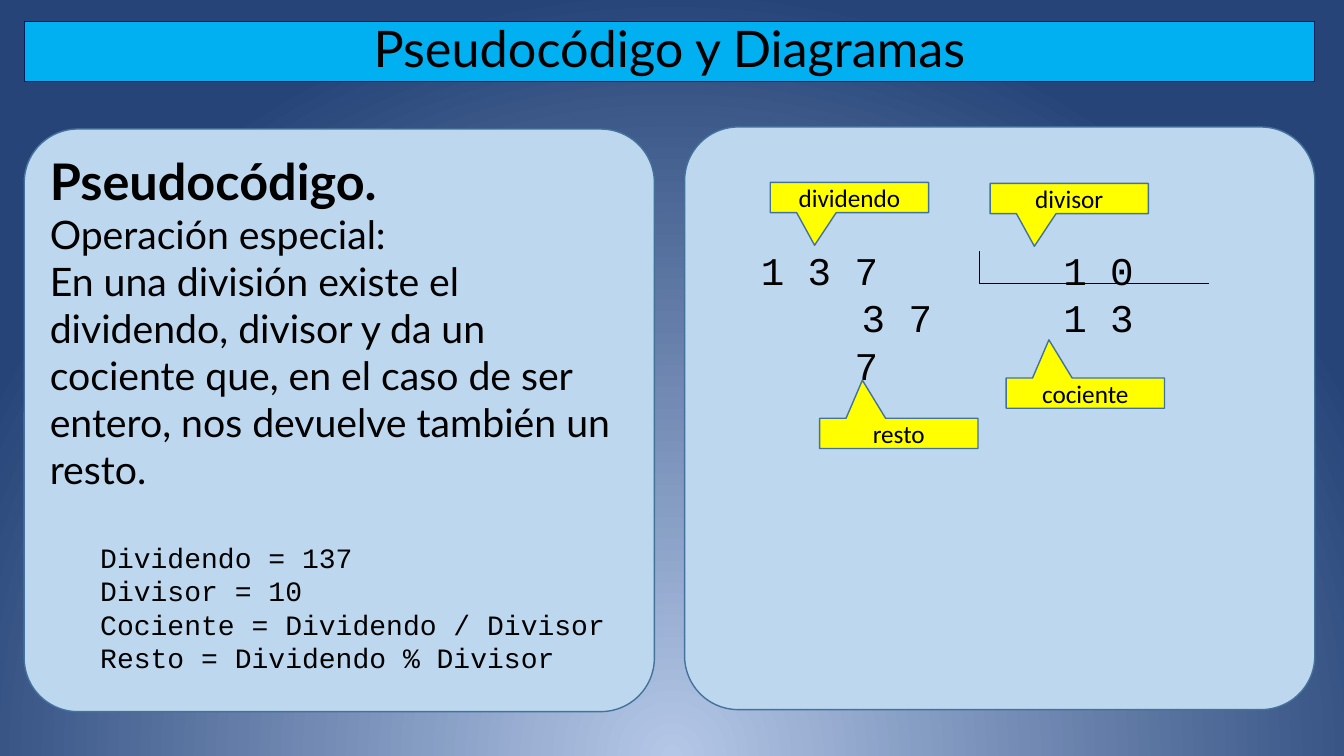
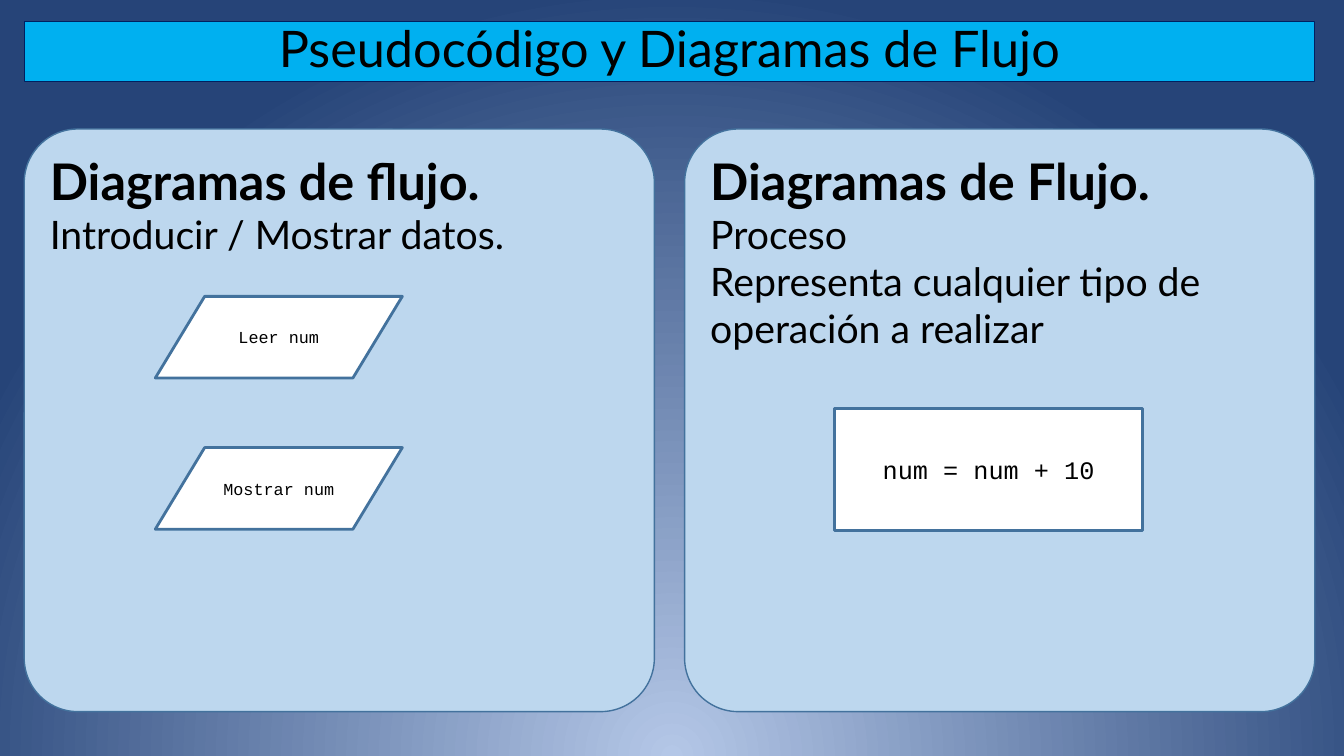
from pptx import Presentation
from pptx.dml.color import RGBColor
from pptx.enum.shapes import MSO_CONNECTOR as CONNECTOR, MSO_SHAPE as SHAPE
from pptx.enum.text import MSO_ANCHOR as ANCHOR, PP_ALIGN as ALIGN
from pptx.oxml import parse_xml
from pptx.oxml.ns import nsdecls, qn
from pptx.util import Inches, Pt

COLORS = {
    "glow": "B4C7E7", "night": "264478", "band": "00B0F0", "band_line": "002060",
    "panel": "BDD7EE", "outline": "43729D", "callout": "FFFF00",
    "white": "FFFFFF", "text": "000000",
}

# Each style holds font values, paragraph values and a left indent in inches.
STYLES = {
    "title": ({"name": "Lato", "size": Pt(36)},
              {"alignment": ALIGN.CENTER, "line_spacing": 0.9}, 0),
    "heading": ({"name": "Lato", "size": Pt(36), "bold": True}, {}, 0),
    "body": ({"name": "Lato", "size": Pt(28)}, {}, 0),
    "code": ({"name": "Courier New", "size": Pt(20)}, {"line_spacing": Pt(24)}, 0.5),
    "division": ({"name": "Courier New", "size": Pt(28)}, {"line_spacing": Pt(34)}, 0),
    "callout": ({"name": "Calibri", "size": Pt(18)}, {"alignment": ALIGN.CENTER}, 0),
    "io": ({"name": "Courier New", "size": Pt(12)}, {"alignment": ALIGN.CENTER}, 0),
    "process": ({"name": "Courier New", "size": Pt(18)}, {"alignment": ALIGN.CENTER}, 0),
}
CODE_GAP = Pt(34)

LEFT, WIDTH = 0.24, 12.8
PANEL_W, PANEL_H, PANEL_GAP, PANEL_TOP = 6.25, 5.78, 0.3, 1.28

OPERATION = [
    ("heading", "Pseudocódigo."),
    ("body", "Operación especial:"),
    ("body", "En una división existe el dividendo, divisor y da un cociente que, "
             "en el caso de ser entero, nos devuelve también un resto."),
    ("code", "Dividendo = 137"),
    ("code", "Divisor = 10"),
    ("code", "Cociente = Dividendo / Divisor"),
    ("code", "Resto = Dividendo % Divisor"),
]
DIVISION = [  # text, tab stops in inches
    ("1 3 7\t1 0", [3]),
    ("\t3 7\t1 3", [1, 3]),
    ("\t7", [0.93]),
]
POINT_DOWN, POINT_UP = (-0.22, 1.58), (-0.23, -1.76)
CALLOUTS = [
    ("dividendo", 7.64, 1.81, POINT_DOWN),
    ("divisor", 9.82, 1.82, POINT_DOWN),
    ("cociente", 9.98, 3.75, POINT_UP),
    ("resto", 8.13, 4.15, POINT_UP),
]
DATA_FLOW = [
    ("heading", "Diagramas de flujo."),
    ("body", "Introducir / Mostrar datos."),
]
PROCESS = [
    ("heading", "Diagramas de Flujo."),
    ("body", "Proceso"),
    ("body", "Representa cualquier tipo de operación a realizar"),
]
IO_STEPS = ["Leer num", "Mostrar num"]


def rgb(name):
    return RGBColor.from_string(COLORS[name])


def apply(target, values):
    for name, value in values.items():
        setattr(target, name, value)


def set_background(master):
    """Give every slide a circular gradient that glows from the bottom centre."""
    c_sld = master.element.find(qn("p:cSld"))
    for bg in c_sld.findall(qn("p:bg")):
        c_sld.remove(bg)
    stops = "".join(f'<a:gs pos="{pos}"><a:srgbClr val="{COLORS[name]}"/></a:gs>'
                    for pos, name in ((0, "glow"), (100000, "night")))
    c_sld.insert(0, parse_xml(
        f'<p:bg {nsdecls("p", "a")}><p:bgPr><a:gradFill rotWithShape="1">'
        f'<a:gsLst>{stops}</a:gsLst><a:path path="circle">'
        '<a:fillToRect l="50000" t="100000" r="50000" b="0"/></a:path>'
        '</a:gradFill><a:effectLst/></p:bgPr></p:bg>'))


def add_box(slide, kind, box, fill, line="outline", width=1, adj=(), anchor=ANCHOR.MIDDLE):
    sp = slide.shapes.add_shape(kind, *map(Inches, box))
    sp.shadow.inherit = False
    for i, value in enumerate(adj):
        sp.adjustments[i] = value
    sp.fill.solid()
    sp.fill.fore_color.rgb = rgb(fill)
    sp.line.color.rgb = rgb(line)
    sp.line.width = Pt(width)
    apply(sp.text_frame, {"word_wrap": True, "vertical_anchor": anchor})
    return sp


def add_text(sp, rows):
    """Write (style, text) rows as paragraphs and return the paragraphs."""
    tf = sp.text_frame
    for i, (style, text) in enumerate(rows):
        p = tf.paragraphs[0] if i == 0 else tf.add_paragraph()
        font, layout, indent = STYLES[style]
        apply(p, {"alignment": ALIGN.LEFT, **layout})
        if indent:
            p._p.get_or_add_pPr().set("marL", str(Inches(indent)))
        r = p.add_run()
        r.text = text
        apply(r.font, font)
        r.font.color.rgb = rgb("text")
    return tf.paragraphs


def add_panel(slide, column, top=PANEL_TOP):
    left = LEFT + column * (PANEL_W + PANEL_GAP)
    return add_box(slide, SHAPE.ROUNDED_RECTANGLE, (left, top, PANEL_W, PANEL_H),
                   "panel", adj=[0.092], anchor=ANCHOR.TOP)


def add_titled_slide(prs, title):
    slide = prs.slides.add_slide(prs.slide_layouts[6])
    band = add_box(slide, SHAPE.RECTANGLE, (LEFT, 0.21, WIDTH, 0.6),
                   "band", line="band_line", width=0)
    add_text(band, [("title", title)])
    return slide


def set_tabs(p, stops):
    tabs = "".join(f'<a:tab pos="{Inches(x)}" algn="l"/>' for x in stops)
    p._p.get_or_add_pPr().append(parse_xml(f'<a:tabLst {nsdecls("a")}>{tabs}</a:tabLst>'))


def add_division_bracket(slide):
    line = slide.shapes.add_connector(
        CONNECTOR.ELBOW, *map(Inches, (9.71, 2.49, 11.99, 2.81)))
    line.line.color.rgb = rgb("text")
    line.line.width = Pt(0.5)
    sp_pr = line._element.spPr
    sp_pr.append(parse_xml(f'<a:effectLst {nsdecls("a")}/>'))
    geom = sp_pr.find(qn("a:prstGeom"))
    for av in geom.findall(qn("a:avLst")):
        geom.remove(av)
    geom.append(parse_xml(
        f'<a:avLst {nsdecls("a")}><a:gd name="adj1" fmla="val 300"/></a:avLst>'))


def build_pseudocode(prs):
    slide = add_titled_slide(prs, "Pseudocódigo y Diagramas")
    paragraphs = add_text(add_panel(slide, 0), OPERATION)
    first_code = [style for style, _ in OPERATION].index("code")
    paragraphs[first_code].space_before = CODE_GAP

    panel = add_panel(slide, 1, top=1.26)
    apply(panel.text_frame, {"margin_left": Inches(0.6), "margin_top": Inches(1.02)})
    paragraphs = add_text(panel, [("division", text) for text, _ in DIVISION])
    for p, (_, stops) in zip(paragraphs, DIVISION):
        set_tabs(p, stops)
    add_division_bracket(slide)
    for text, left, top, tip in CALLOUTS:
        sp = add_box(slide, SHAPE.RECTANGULAR_CALLOUT, (left, top, 1.57, 0.3),
                     "callout", adj=tip)
        add_text(sp, [("callout", text)])


def build_flowcharts(prs):
    slide = add_titled_slide(prs, "Pseudocódigo y Diagramas de Flujo")
    for column, rows in enumerate((DATA_FLOW, PROCESS)):
        add_text(add_panel(slide, column), rows)
    for i, text in enumerate(IO_STEPS):
        sp = add_box(slide, SHAPE.FLOWCHART_DATA, (1.54, 2.94 + 1.5 * i, 2.45, 0.81),
                     "white", width=2)
        add_text(sp, [("io", text)])
    sp = add_box(slide, SHAPE.RECTANGLE, (8.28, 4.05, 3.05, 1.21), "white", width=2)
    add_text(sp, [("process", "num = num + 10")])


def main():
    prs = Presentation()
    prs.slide_width, prs.slide_height = Inches(13.33), Inches(7.5)
    set_background(prs.slide_master)
    build_pseudocode(prs)
    build_flowcharts(prs)
    prs.save("out.pptx")


if __name__ == "__main__":
    main()
